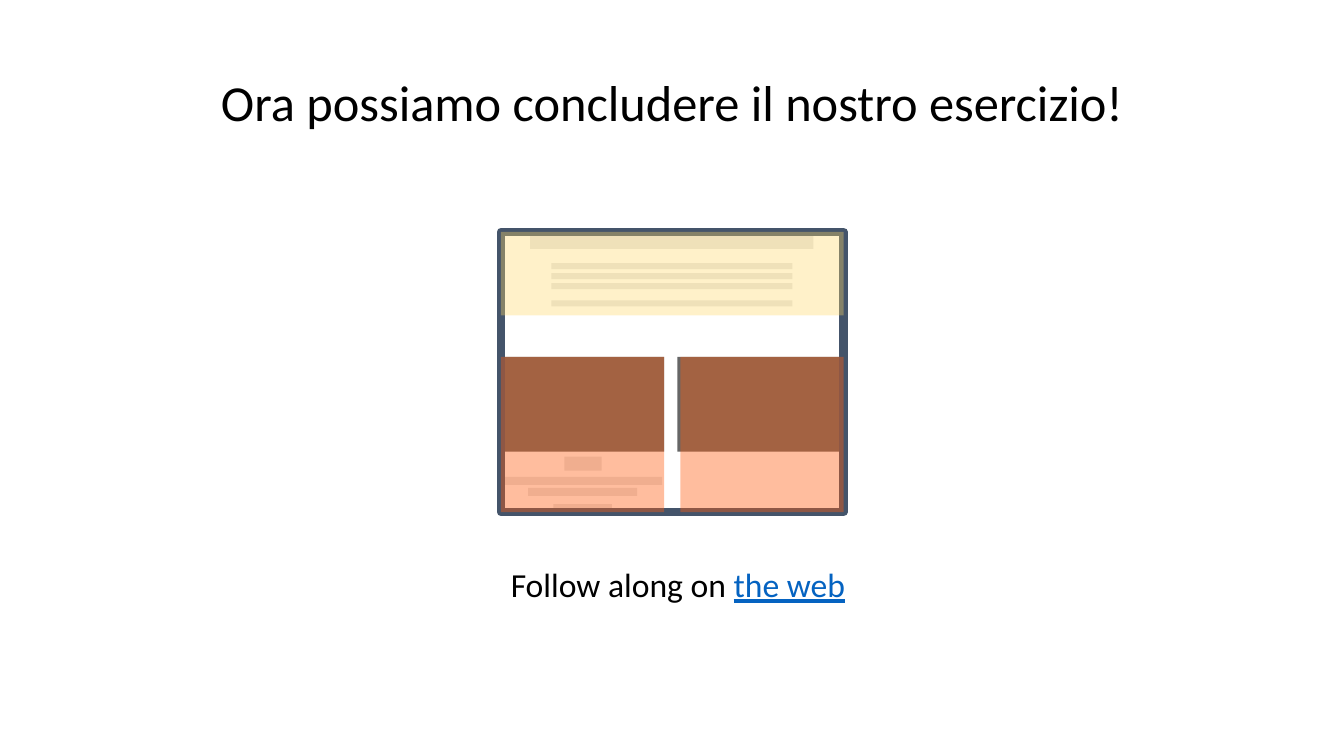
import dataclasses

import pptx
import pptx.dml.color
import pptx.enum.shapes
import pptx.enum.text
import pptx.oxml
import pptx.oxml.ns
import pptx.util


@dataclasses.dataclass(frozen=True)
class Theme:
    font: str = "Calibri"
    title_size: int = 36
    body_size: int = 24
    text: str = "000000"
    link: str = "0563C1"
    bar: str = "E7E6E6"
    photo: str = "666666"
    frame: str = "44546A"
    header: str = "FFD966"
    column: str = "FF5C0E"


def color(value):
    return pptx.dml.color.RGBColor.from_string(value)


def a_element(name, **attrs):
    el = pptx.oxml.parse_xml(f"<a:{name} {pptx.oxml.ns.nsdecls('a')}/>")
    for key, value in attrs.items():
        el.set(key, str(value))
    return el


def add_text(p, text, *, font, size, fill, underline=None):
    r = p.add_run()
    r.text = text
    r.font.name = font
    r.font.size = pptx.util.Pt(size)
    r.font.color.rgb = color(fill)
    r.font.underline = underline


class SlideBuilder:
    COLS, ROWS = 133.33, 75

    def __init__(self, prs, theme):
        self.theme = theme
        self.slide = prs.slides.add_slide(prs.slide_layouts[1])
        self.col = prs.slide_width / self.COLS
        self.row = prs.slide_height / self.ROWS

    def box(self, left, top, width, height):
        return (round(left * self.col), round(top * self.row),
                round(width * self.col), round(height * self.row))

    def placeholder(self, idx, at, size, anchor, runs):
        sp = self.slide.placeholders[idx]
        sp.left, sp.top, sp.width, sp.height = self.box(*at)
        tf = sp.text_frame
        tf.word_wrap = True
        tf.auto_size = pptx.enum.text.MSO_AUTO_SIZE.NONE
        tf.vertical_anchor = anchor
        inset = pptx.util.Inches(0.1)
        tf.margin_left = tf.margin_right = tf.margin_top = tf.margin_bottom = inset
        p = tf.paragraphs[0]
        pPr = p._p.get_or_add_pPr()
        pPr.set("marL", "0")
        pPr.set("indent", "0")
        pPr.append(a_element("buNone"))
        p.alignment = pptx.enum.text.PP_ALIGN.CENTER
        p.line_spacing = 0.9
        p.space_before = pptx.util.Pt(0)
        for text, fill, underline in runs:
            add_text(p, text, font=self.theme.font, size=size, fill=fill, underline=underline)

    def rect(self, at, fill=None, alpha=None, line=None, weight=6):
        sp = self.slide.shapes.add_shape(
            pptx.enum.shapes.MSO_SHAPE.RECTANGLE, *self.box(*at))
        sp.shadow.inherit = False
        if fill:
            sp.fill.solid()
            sp.fill.fore_color.rgb = color(fill)
            if alpha:
                clr = sp.fill._xPr.find(".//" + pptx.oxml.ns.qn("a:srgbClr"))
                clr.append(a_element("alpha", val=alpha * 1000))
        else:
            sp.fill.background()
        if line:
            sp.line.color.rgb = color(line)
            sp.line.width = pptx.util.Pt(weight)
            sp.line._get_or_add_ln().append(a_element("round"))
        else:
            sp.line.fill.background()


def main():
    prs = pptx.Presentation()
    prs.slide_width = pptx.util.Inches(13.33)
    prs.slide_height = pptx.util.Inches(7.5)
    theme = Theme()
    page = SlideBuilder(prs, theme)
    anchors = pptx.enum.text.MSO_ANCHOR

    page.placeholder(0, (20.1, 4.3, 93.2, 12.3), theme.title_size, anchors.MIDDLE,
                     [("Ora possiamo concludere il nostro esercizio!", theme.text, None)])

    left, top, width, height = 49.7, 23, 34, 27.8
    columns_top, column_width = 35.4, 16.2

    header_bars = [(52.6, top, 28.1, 1.7)]
    header_bars += [(54.7, y, 23.9, 0.6) for y in (26.1, 27.1, 28.1, 29.8)]
    caption_bars = [(56, 45.3, 3.7, 1.4), (49.8, 47.3, 15.9, 0.8),
                    (52.4, 48.4, 10.8, 0.8), (54.9, 50, 5.8, 0.8)]
    for at in header_bars + caption_bars:
        page.rect(at, theme.bar)
    for x in (left, 67.2):
        page.rect((x, columns_top, column_width, 9.4), theme.photo)

    page.rect((left, top, width, height), line=theme.frame)
    page.rect((left, top, width, 8.3), theme.header, alpha=35)
    for x in (left, left + width - column_width):
        page.rect((x, columns_top, column_width, top + height - columns_top),
                  theme.column, alpha=40)

    page.placeholder(1, (25.2, 55.4, 84.1, 7.7), theme.body_size, anchors.TOP,
                     [("Follow along on ", theme.text, None),
                      ("the web", theme.link, True)])

    prs.save("out.pptx")


if __name__ == "__main__":
    main()
